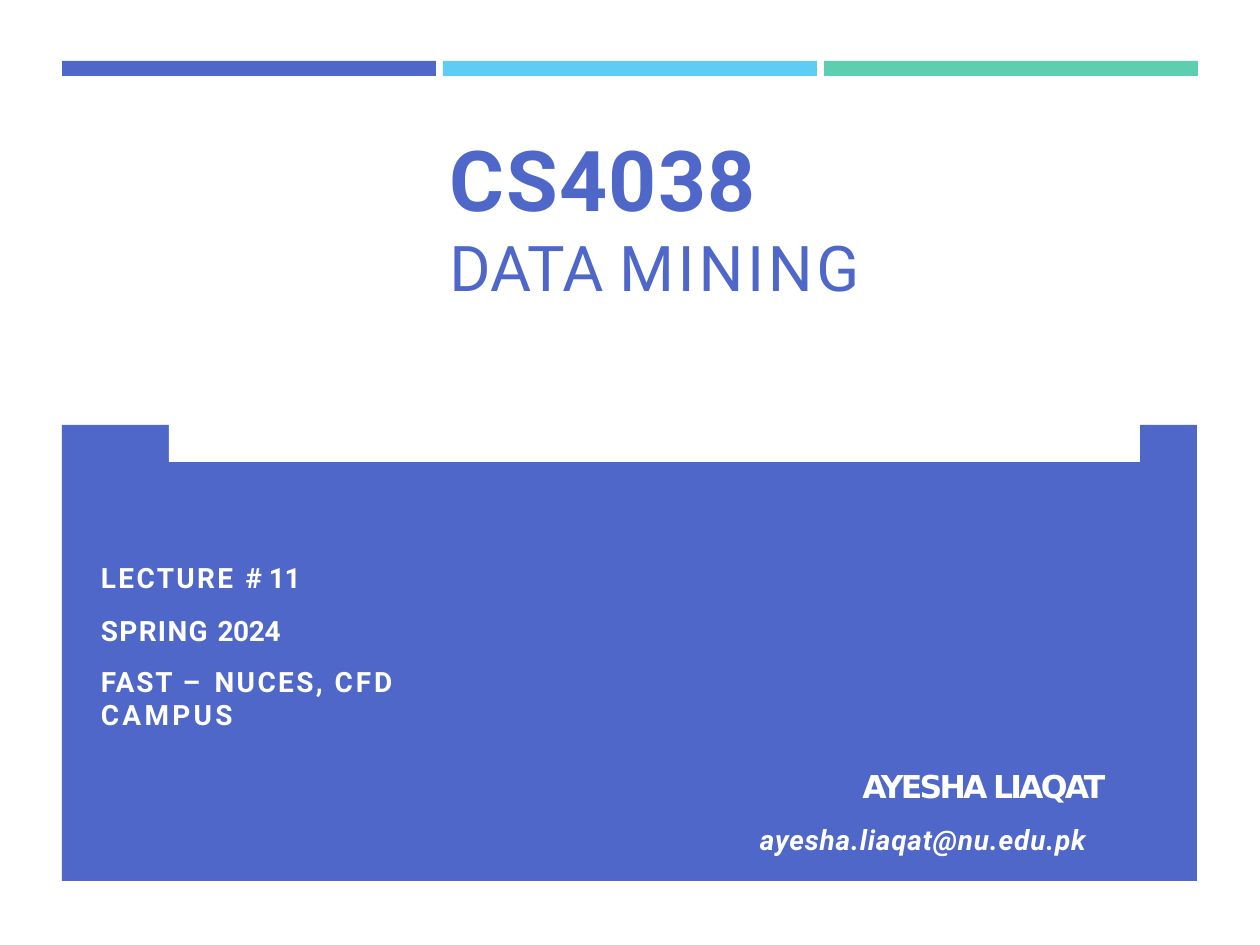
import pptx
import pptx.dml.color
import pptx.enum.shapes
import pptx.enum.text
import pptx.util

SCALE = 914400 / 126
COLORS = {"indigo": "4E67C8", "sky": "5ECCF3", "mint": "5DCEAF", "white": "FFFFFF"}
CENTER = pptx.enum.text.PP_ALIGN.CENTER


def px(length):
    return pptx.util.Emu(round(length * SCALE))


def rgb(name):
    return pptx.dml.color.RGBColor.from_string(COLORS[name])


def add_block(page, left, top, width, height, color):
    block = page.shapes.add_shape(
        pptx.enum.shapes.MSO_SHAPE.RECTANGLE, px(left), px(top), px(width), px(height))
    block.shadow.inherit = False
    block.fill.solid()
    block.fill.fore_color.rgb = rgb(color)
    block.line.fill.background()


def add_box(page, left, top, width, height):
    """Add a wrapping text box without insets and return its text frame."""
    frame = page.shapes.add_textbox(px(left), px(top), px(width), px(height)).text_frame
    frame.word_wrap = True
    frame.margin_left = frame.margin_top = frame.margin_right = frame.margin_bottom = 0
    return frame


def add_para(frame, spans, size, color, font="Roboto", bold=False, italic=False,
             align=None, before=None, indent=0):
    """Fill the first paragraph or add one; spans are (text, letter spacing in points)."""
    first = frame.paragraphs[0]
    para = frame.add_paragraph() if first.runs else first
    if indent:
        para._p.get_or_add_pPr().set("marL", str(px(indent)))
    para.alignment = align
    if before is not None:
        para.space_before = pptx.util.Pt(before)
    for text, spacing in spans:
        span = para.add_run()
        span.text = text
        span.font.name = font
        span.font.size = pptx.util.Pt(size)
        span.font.bold = bold
        span.font.italic = italic
        span.font.color.rgb = rgb(color)
        span._r.get_or_add_rPr().set("spc", str(round(spacing * 100)))


def add_background(page):
    for column, color in enumerate(("indigo", "sky", "mint")):
        add_block(page, 62 + 381 * column, 61, 374, 15, color)
    add_block(page, 62, 425, 1135, 456, "indigo")
    add_block(page, 169, 223, 971, 239, "white")


def add_course(page):
    code = add_box(page, 450, 128, 541, 100)
    add_para(code, [("CS4038", 0.8)], 48, "indigo", bold=True)
    name = add_box(page, 184, 229, 941, 74)
    add_para(name, [("DATA ", 0), ("MINING", 2.1)], 36, "indigo", align=CENTER)


def add_lecture(page):
    box = add_box(page, 101, 561, 418, 140)
    lines = [
        ([("LECTURE ", 1.4), ("# ", 0), ("11", -0.2)], None),
        ([("SPRING ", 0.8), ("2024", -0.2)], 10.8),
        ([("FAST ", 1.1), ("– ", 2.1), ("NUCES, ", 1.4), ("CFD ", 1.7), ("CAMPUS", 1.9)], 9.8),
    ]
    for spans, before in lines:
        add_para(box, spans, 16, "white", bold=True, before=before)


def add_lecturer(page):
    box = add_box(page, 745, 767, 416, 90)
    add_para(box, [("AYESHA LIAQAT", -1.6)], 18, "white", font="DejaVu Sans",
             bold=True, align=CENTER, indent=62)
    add_para(box, [("ayesha.liaqat@nu.edu.pk", 0.5)], 16, "white",
             bold=True, italic=True, before=10.4, indent=15)


def main():
    deck = pptx.Presentation()
    deck.slide_width, deck.slide_height = px(1260), px(945)
    page = deck.slides.add_slide(deck.slide_layouts[6])
    add_background(page)
    add_course(page)
    add_lecture(page)
    add_lecturer(page)
    deck.save("out.pptx")


if __name__ == "__main__":
    main()
